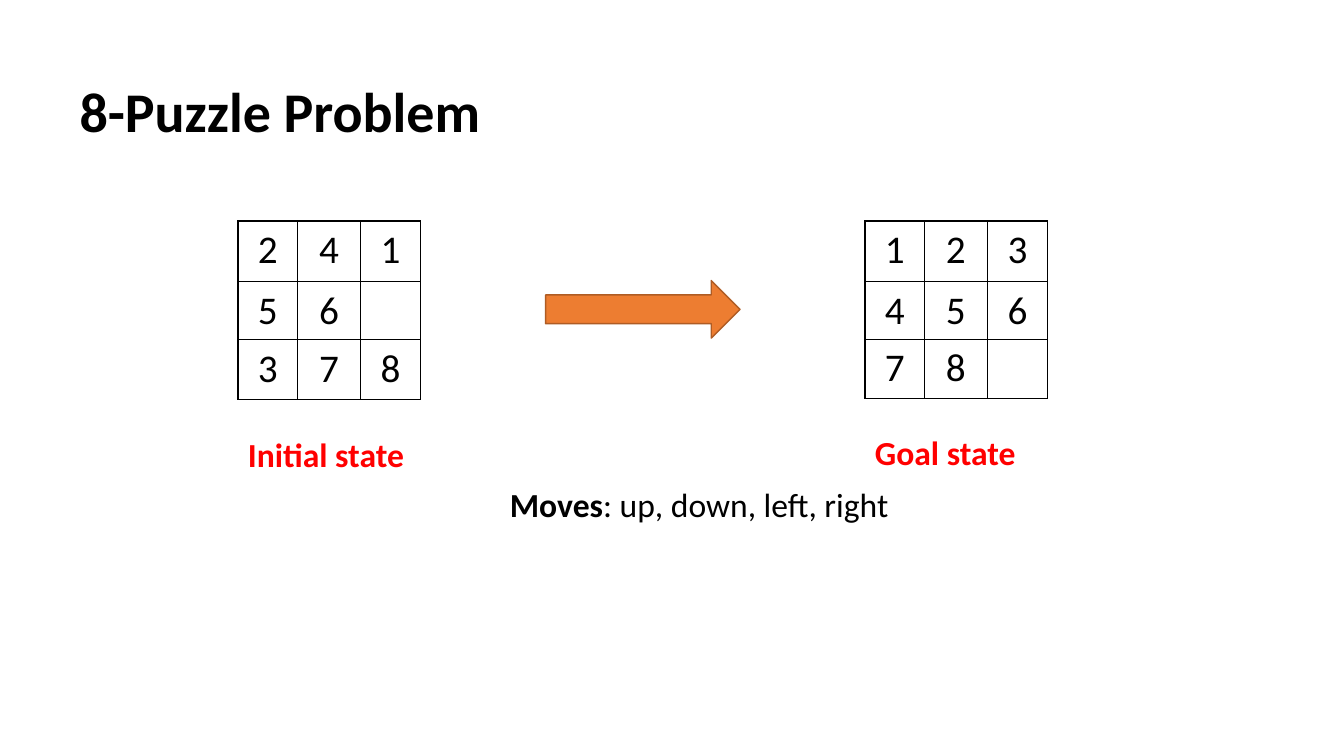
"""Build a slide showing the 8-puzzle's initial and goal states."""
from lxml.etree import SubElement
from pptx import Presentation
from pptx.dml.color import RGBColor
from pptx.enum.shapes import MSO_SHAPE
from pptx.enum.text import MSO_ANCHOR, PP_ALIGN
from pptx.oxml import parse_xml
from pptx.oxml.ns import nsdecls, qn
from pptx.util import Cm, Pt

TITLE = "8-Puzzle Problem"
BOARDS = [
    ("Initial state", 6, 10.8, [["2", "4", "1"], ["5", "6", ""], ["3", "7", "8"]]),
    ("Goal state", 21.8, 10.77, [["1", "2", "3"], ["4", "5", "6"], ["7", "8", ""]]),
]
MOVES = [("Moves", True), (": up, down, left, right", False)]
COLUMNS = [1.5, 1.58, 1.52]
ROWS = [1.53, 1.45, 1.5]
BOARD_TOP = 5.57
FONT = "Calibri"
BLACK, RED, ORANGE, BROWN = "000000", "FF0000", "ED7D31", "AF5C24"


def rgb(value):
    return RGBColor.from_string(value)


def set_font(p, size, color=BLACK, bold=False):
    p.font.name = FONT
    p.font.size = Pt(size)
    p.font.bold = bold
    p.font.color.rgb = rgb(color)


def add_label(s, box, runs, color):
    tf = s.shapes.add_textbox(*map(Cm, box)).text_frame
    tf.word_wrap = True
    p = tf.paragraphs[0]
    set_font(p, 24, color)
    for text, bold in runs:
        r = p.add_run()
        r.text = text
        r.font.bold = bold


def add_borders(cell):
    tc_pr = cell._tc.get_or_add_tcPr()
    for i, side in enumerate(("lnL", "lnR", "lnT", "lnB")):
        line = parse_xml(f'<a:{side} {nsdecls("a")} w="{Pt(1)}"/>')
        fill = SubElement(line, qn("a:solidFill"))
        SubElement(fill, qn("a:srgbClr"), val=BLACK)
        tc_pr.insert(i, line)


def add_board(s, left, tiles):
    size = Cm(sum(COLUMNS)), Cm(sum(ROWS))
    table = s.shapes.add_table(len(ROWS), len(COLUMNS), Cm(left), Cm(BOARD_TOP), *size).table
    table.first_row = table.horz_banding = False
    for column, width in zip(table.columns, COLUMNS):
        column.width = Cm(width)
    for row, height, values in zip(table.rows, ROWS, tiles):
        row.height = Cm(height)
        for cell, value in zip(row.cells, values):
            cell.text = value
            cell.fill.background()
            add_borders(cell)
            p = cell.text_frame.paragraphs[0]
            p.alignment = PP_ALIGN.CENTER
            set_font(p, 28)


def main():
    prs = Presentation()
    prs.slide_width, prs.slide_height = Cm(33.87), Cm(19.05)
    s = prs.slides.add_slide(prs.slide_layouts[5])

    title = s.shapes.title
    title.left, title.top, title.width, title.height = map(Cm, (1.75, 1.8, 19.3, 1.96))
    title.text_frame.text = TITLE
    title.text_frame.vertical_anchor = MSO_ANCHOR.TOP
    p = title.text_frame.paragraphs[0]
    p.alignment = PP_ALIGN.LEFT
    set_font(p, 40, bold=True)

    for name, left, label_top, tiles in BOARDS:
        add_board(s, left, tiles)
        add_label(s, (left, label_top, sum(COLUMNS), 1.27), [(name, True)], RED)

    arrow = s.shapes.add_shape(MSO_SHAPE.RIGHT_ARROW, *map(Cm, (13.75, 7.07, 4.9, 1.45)))
    arrow.shadow.inherit = False
    arrow.fill.solid()
    arrow.fill.fore_color.rgb = rgb(ORANGE)
    arrow.line.color.rgb = rgb(BROWN)
    arrow.line.width = Pt(1)

    add_label(s, (12.6, 12.07, 16.4, 1.27), MOVES, BLACK)
    prs.save("out.pptx")


if __name__ == "__main__":
    main()
